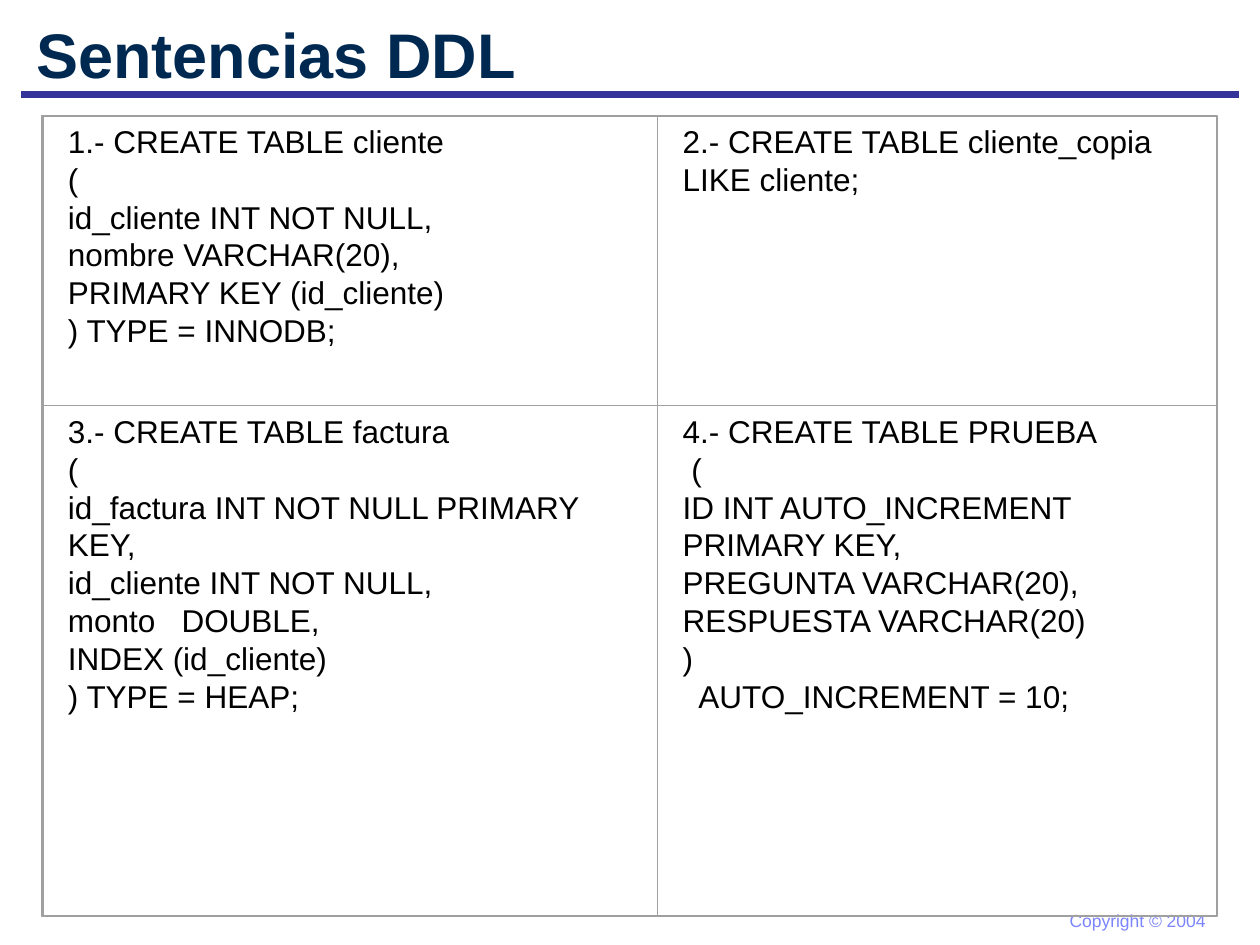
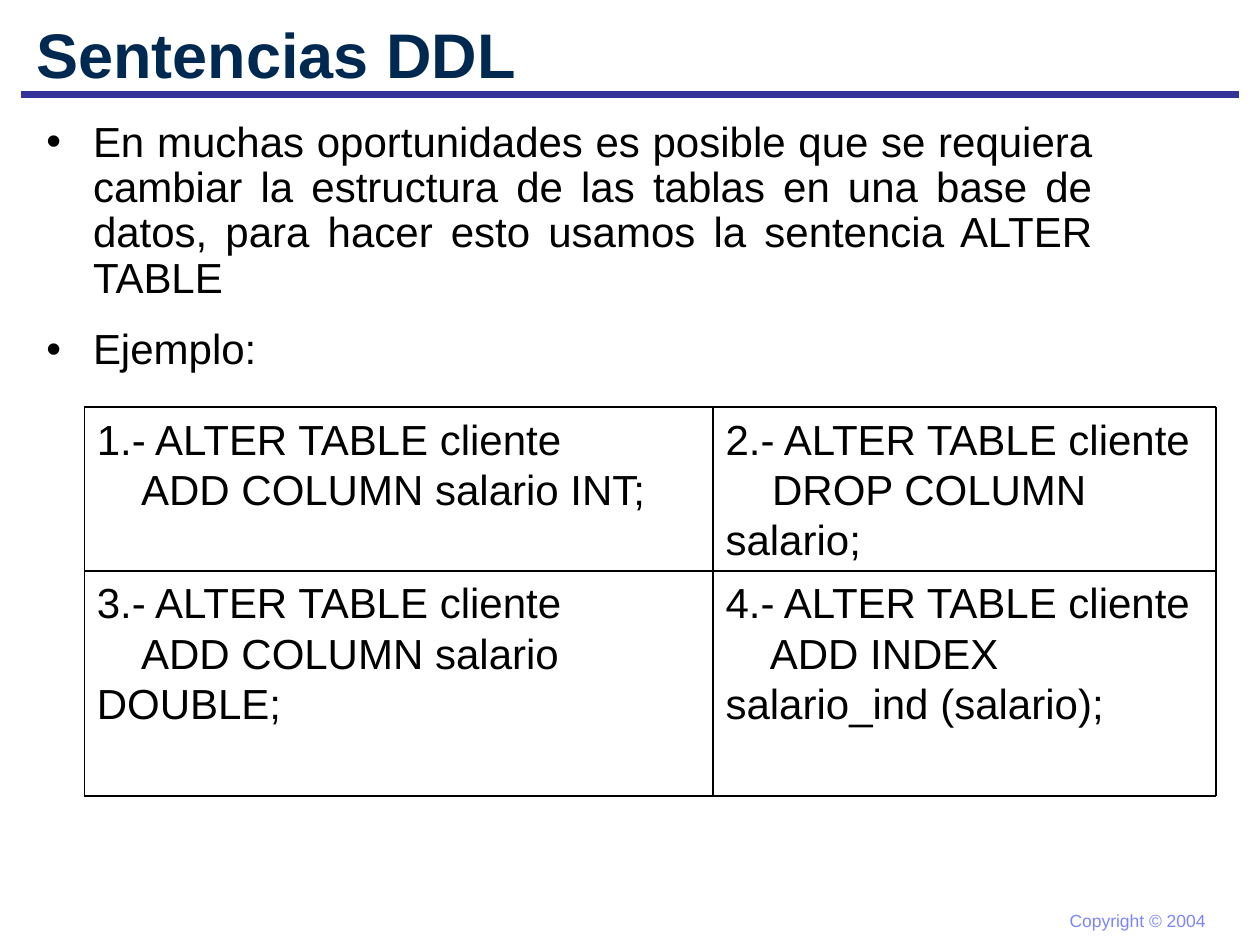
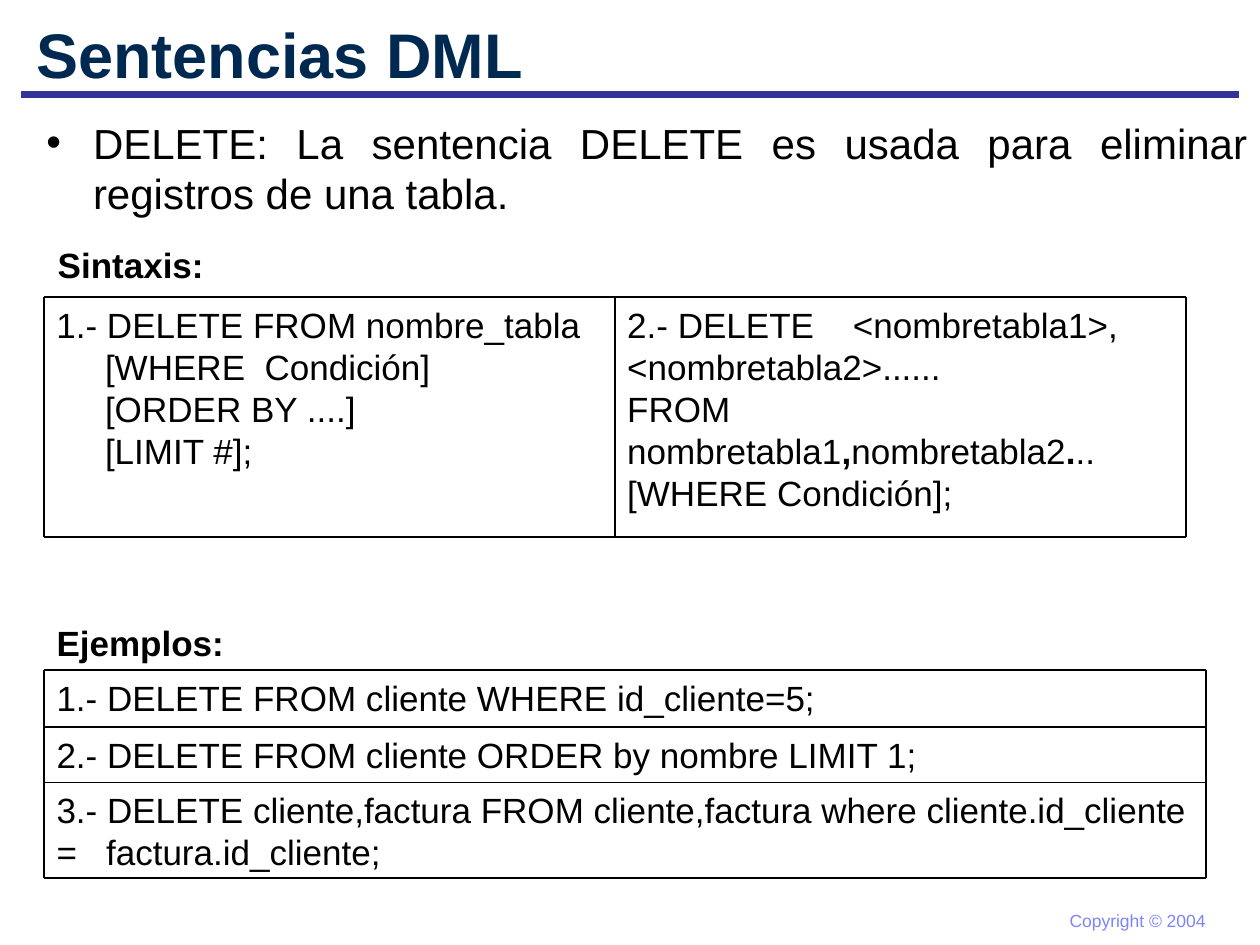
from itertools import accumulate
from lxml.etree import SubElement
from pptx import Presentation
from pptx.dml.color import RGBColor
from pptx.enum.shapes import MSO_CONNECTOR, MSO_SHAPE
from pptx.enum.text import MSO_ANCHOR, PP_ALIGN
from pptx.oxml.ns import qn
from pptx.util import Inches, Pt

NAVY = RGBColor(0x00, 0x29, 0x52)
INDIGO = RGBColor(0x33, 0x33, 0x99)
LILAC = RGBColor(0x7C, 0x85, 0xFC)
BLACK = RGBColor(0x00, 0x00, 0x00)
GREY = RGBColor(0xA0, 0xA0, 0xA0)
FONT = "Arial"


def write(frame, lines, size=20, color=BLACK, bold=False, align=PP_ALIGN.LEFT,
          space=None, before=0, bullet=False):
    """Fill a frame; in a line given as a tuple every second piece is bold."""
    for row, line in enumerate(lines):
        para = frame.paragraphs[0] if row == 0 else frame.add_paragraph()
        para.alignment = align
        if space:
            para.line_spacing = space
        if row and before:
            para.space_before = Pt(before)
        if bullet:
            props = para._p.get_or_add_pPr()
            props.set("marL", str(Inches(0.37)))
            props.set("indent", str(-Inches(0.37)))
            SubElement(props, qn("a:buFont")).set("typeface", FONT)
            SubElement(props, qn("a:buChar")).set("char", "•")
        pieces = (line,) if isinstance(line, str) else line
        for index, piece in enumerate(pieces):
            run = para.add_run()
            run.text = piece
            font = run.font
            font.name, font.size = FONT, Pt(size)
            font.bold = bold or index % 2 == 1
            font.color.rgb = color


class Deck:
    """Holds the style and the current slide."""

    def __init__(self):
        """Start an empty deck."""
        self.show = Presentation()
        self.show.slide_width, self.show.slide_height = Inches(10), Inches(7.5)
        self.slide = None

    def page(self, title):
        """Add a slide with its title, rule and footer."""
        self.slide = self.show.slides.add_slide(self.show.slide_layouts[6])
        self.rule(0.17, 0.75, 9.83, 0.75, INDIGO, 4.5)
        self.text(8.39, 7.17, 1.28, 0.27, ["Copyright © 2004"], wrap=False,
                  size=10, color=LILAC)
        self.text(0.19, 0.1, 9.42, 0.65, [title], anchor=MSO_ANCHOR.MIDDLE,
                  size=36, color=NAVY, bold=True)

    def rule(self, left, top, right, bottom, color=BLACK, weight=1):
        """Draw a straight line."""
        line = self.slide.shapes.add_connector(
            MSO_CONNECTOR.STRAIGHT, Inches(left), Inches(top),
            Inches(right), Inches(bottom))
        line.line.color.rgb, line.line.width = color, Pt(weight)
        SubElement(line._element.spPr, qn("a:effectLst"))

    def frame(self, left, top, width, height):
        """Draw a thin grey outline."""
        box = self.slide.shapes.add_shape(
            MSO_SHAPE.RECTANGLE, Inches(left), Inches(top),
            Inches(width), Inches(height))
        box.shadow.inherit = False
        box.fill.background()
        box.line.color.rgb, box.line.width = GREY, Pt(0.75)

    def text(self, left, top, width, height, lines, wrap=True,
             anchor=MSO_ANCHOR.TOP, **style):
        """Add a text box."""
        box = self.slide.shapes.add_textbox(
            Inches(left), Inches(top), Inches(width), Inches(height))
        frame = box.text_frame
        frame.word_wrap, frame.vertical_anchor = wrap, anchor
        write(frame, lines, **style)

    def points(self, top, width, height, lines, space):
        """Add the justified bullet list below the title."""
        self.text(0.27, top, width, height, lines, size=24, space=space,
                  align=PP_ALIGN.JUSTIFY, before=15, bullet=True)

    def grid(self, left, top, widths, heights, cells, size=20, boxed=False):
        """Set code in a grid of boxed cells or ruled lines."""
        xs = list(accumulate(widths, initial=left))
        ys = list(accumulate(heights, initial=top))
        pad = 0.1 if boxed else 0
        for index, lines in enumerate(cells):
            row, col = divmod(index, len(widths))
            x, y, width, height = xs[col], ys[row], widths[col], heights[row]
            self.text(x + pad, y, width - 2 * pad, height, lines, size=size)
            if boxed:
                self.frame(x, y, width, height)
        if boxed:
            self.frame(left - 0.01, top, sum(widths) + 0.01, sum(heights))
            return
        for y in ys:
            self.rule(left, y, xs[-1], y)
        for x in xs:
            self.rule(x, top, x, ys[-1])


def main():
    """Build the three slides."""
    deck = Deck()

    deck.page("Sentencias DDL")
    deck.grid(0.34, 0.92, [4.88, 4.44], [2.3, 4.05], [
        ["1.- CREATE TABLE cliente", "(", "id_cliente INT NOT NULL,",
         "nombre VARCHAR(20),", "PRIMARY KEY (id_cliente)", ") TYPE = INNODB;"],
        ["2.- CREATE TABLE cliente_copia LIKE cliente;"],
        ["3.- CREATE TABLE factura", "(", "id_factura INT NOT NULL PRIMARY KEY,",
         "id_cliente INT NOT NULL,", "monto   DOUBLE,", "INDEX (id_cliente)",
         ") TYPE = HEAP;"],
        ["4.- CREATE TABLE PRUEBA", " (", "ID INT AUTO_INCREMENT PRIMARY KEY,",
         "PREGUNTA VARCHAR(20),", "RESPUESTA VARCHAR(20)", ")",
         "  AUTO_INCREMENT = 10;"],
    ], size=18, boxed=True)

    deck.page("Sentencias DDL")
    deck.points(0.91, 8.5, 1.73, [
        "En muchas oportunidades es posible que se requiera cambiar la estructura "
        "de las tablas en una base de datos, para hacer esto usamos la sentencia "
        "ALTER TABLE",
        "Ejemplo:"], space=0.9)
    deck.grid(0.67, 3.23, [4.99, 3.99], [1.3, 1.79], [
        ["1.- ALTER TABLE cliente", "    ADD COLUMN salario INT;"],
        ["2.- ALTER TABLE cliente", "    DROP COLUMN salario;"],
        ["3.- ALTER TABLE cliente", "    ADD COLUMN salario DOUBLE;"],
        ["4.- ALTER TABLE cliente", "    ADD INDEX salario_ind (salario);"],
    ], size=24)

    deck.page("Sentencias DML")
    deck.points(0.88, 9.73, 0.94, [
        "DELETE: La sentencia DELETE es usada para eliminar registros de una tabla."],
        space=1)
    label = {"bold": True, "align": PP_ALIGN.JUSTIFY}
    deck.text(0.36, 1.88, 1.46, 0.44, ["Sintaxis:"], **label)
    deck.grid(0.35, 2.36, [4.53, 4.53], [1.9], [
        ["1.- DELETE FROM nombre_tabla", "     [WHERE  Condición]",
         "     [ORDER BY ....]", "     [LIMIT #];"],
        ["2.- DELETE    <nombretabla1>,", "<nombretabla2>......",
         ("FROM nombretabla1", ",", "nombretabla2", ".", ".."),
         "[WHERE Condición];"],
    ])
    deck.text(0.35, 4.88, 1.89, 0.44, ["Ejemplos:"], **label)
    deck.grid(0.35, 5.32, [9.22], [0.45, 0.44, 0.76], [
        ["1.- DELETE FROM cliente WHERE id_cliente=5;"],
        ["2.- DELETE FROM cliente ORDER by nombre LIMIT 1;"],
        ["3.- DELETE cliente,factura FROM cliente,factura where "
         "cliente.id_cliente =   factura.id_cliente;"],
    ])

    deck.show.save("out.pptx")


if __name__ == "__main__":
    main()
